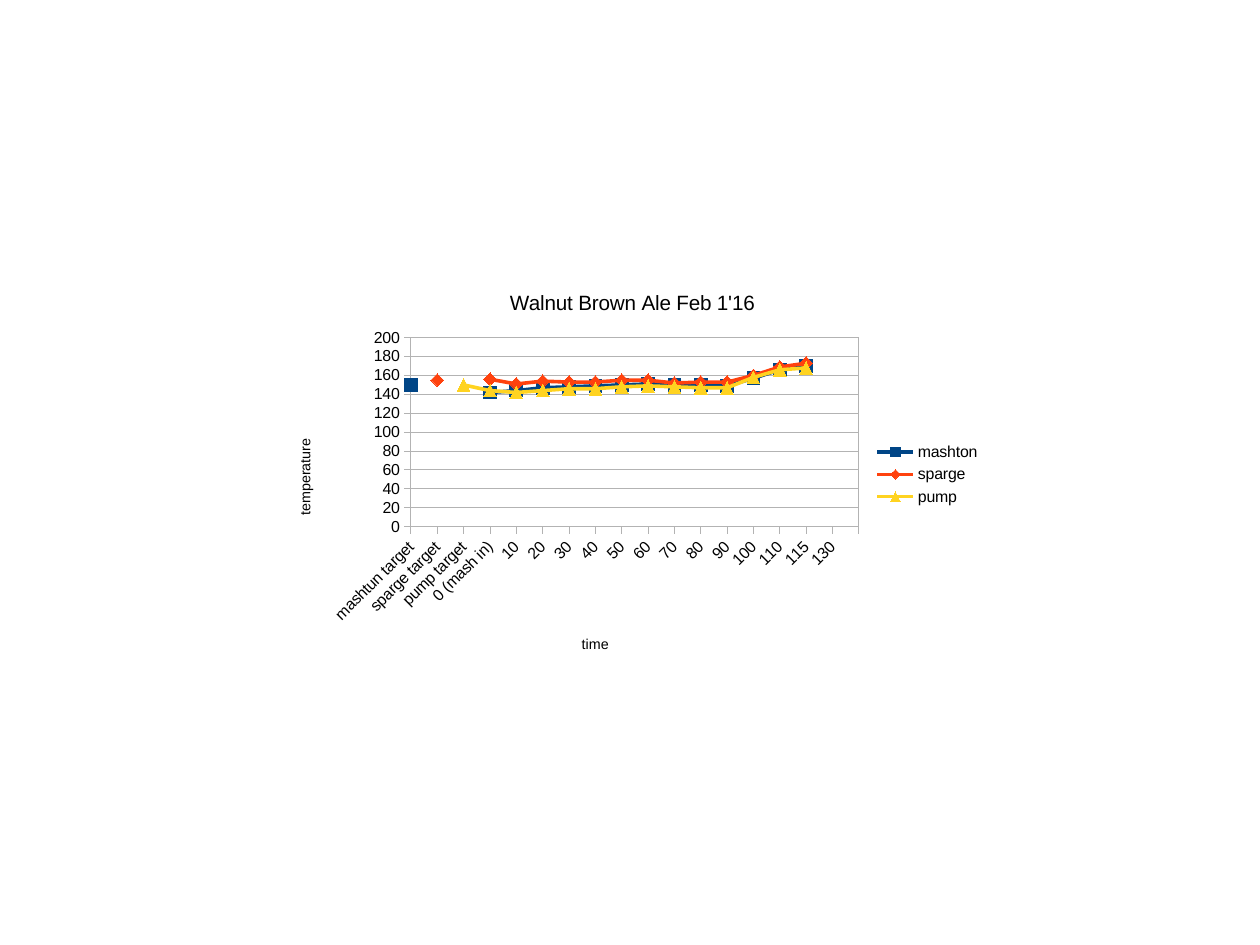
from lxml import etree
from pptx import Presentation
from pptx.chart.data import CategoryChartData
from pptx.dml.color import RGBColor
from pptx.enum.chart import (
    XL_CHART_TYPE, XL_LEGEND_POSITION, XL_MARKER_STYLE as MARKER, XL_TICK_MARK)
from pptx.oxml.ns import qn
from pptx.util import Inches, Pt

CM_PER_INCH = 2.54
FONT = "Arial"
HAIRLINE = 0.01
COLORS = {
    "text": "000000",
    "axis": "B3B3B3",
    "mashton": "004586",
    "sparge": "FF420E",
    "pump": "FFD320",
}
MARKERS = {
    "mashton": MARKER.SQUARE,
    "sparge": MARKER.DIAMOND,
    "pump": MARKER.TRIANGLE,
}
CATEGORIES = ["mashtun target", "sparge target", "pump target", "0 (mash in)",
              *[str(minute) for minute in range(10, 120, 10)], "115", "130", ""]
TEMPERATURES = {
    "mashton": [150, None, None, 142, 144, 147, 148, 149, 150, 151, 150, 150,
                149, 157, 166, 170, None, None],
    "sparge": [None, 155, None, 156, 151, 154, 153, 153, 155, 155, 152, 153,
               153, 160, 169, 173, None, None],
    "pump": [None, None, 150, 144, 142, 144, 146, 146, 148, 149, 148, 147,
             147, 158, 166, 168, None, None],
}


def rgb(name):
    return RGBColor.from_string(COLORS[name])


def style_font(font, size):
    font.name = FONT
    font.size = Pt(size)
    font.bold = False
    font.color.rgb = rgb("text")


def style_line(line, color, width):
    line.color.rgb = rgb(color)
    line.width = Pt(width)


def place(element, index, **percents):
    """Set a manual layout, in percent of the chart, as child number index."""
    for old_layout in element.findall(qn("c:layout")):
        element.remove(old_layout)
    layout = etree.Element(qn("c:layout"))
    manual = etree.SubElement(layout, qn("c:manualLayout"))
    if "w" in percents:
        etree.SubElement(manual, qn("c:layoutTarget"), val="inner")
    for side in ("x", "y"):
        etree.SubElement(manual, qn(f"c:{side}Mode"), val="edge")
    for key, value in percents.items():
        etree.SubElement(manual, qn(f"c:{key}"), val=str(value / 100))
    element.insert(index, layout)


def rotate_text(element, degrees):
    element.find(".//" + qn("a:bodyPr")).set("rot", str(degrees * 60000))


def write_title(title, text, size, x, y):
    paragraph = title.text_frame.paragraphs[0]
    run = paragraph.add_run()
    run.text = text
    style_font(run.font, size)
    place(title._element, 1, x=x, y=y)


def style_axis(axis):
    axis.major_tick_mark = XL_TICK_MARK.OUTSIDE
    axis.minor_tick_mark = XL_TICK_MARK.NONE
    style_line(axis.format.line, "axis", HAIRLINE)
    style_font(axis.tick_labels.font, 10)


def format_axes(chart):
    time_axis, temperature_axis = chart.category_axis, chart.value_axis
    for axis in (time_axis, temperature_axis):
        style_axis(axis)
    time_axis.has_major_gridlines = False
    rotate_text(time_axis._element.find(qn("c:txPr")), -45)
    write_title(time_axis.axis_title, "time", 9, 42.65, 89)

    temperature_axis.minimum_scale = 0
    temperature_axis.maximum_scale = 200
    temperature_axis.major_unit = 20
    temperature_axis.has_major_gridlines = True
    style_line(temperature_axis.major_gridlines.format.line, "axis", HAIRLINE)
    write_title(temperature_axis.axis_title, "temperature", 9, 2.9, 40.5)
    rotate_text(temperature_axis.axis_title._element, -90)

    # Start the lines on the value axis itself
    crossing = temperature_axis._element.find(qn("c:crossBetween"))
    if crossing is None:
        crossing = etree.Element(qn("c:crossBetween"))
        temperature_axis._element.find(qn("c:crosses")).addnext(crossing)
    crossing.set("val", "midCat")


def format_series(series):
    series.smooth = False
    style_line(series.format.line, series.name, 2.27)
    marker = series.marker
    marker.style = MARKERS[series.name]
    marker.size = 8
    marker.format.fill.solid()
    marker.format.fill.fore_color.rgb = rgb(series.name)
    marker.format.line.color.rgb = rgb(series.name)


def format_plot_area(chart):
    plot_area = chart._chartSpace.find(".//" + qn("c:plotArea"))
    place(plot_area, 0, x=19.3, y=16.25, w=62.2, h=46.7)
    properties = etree.SubElement(plot_area, qn("c:spPr"))
    etree.SubElement(properties, qn("a:noFill"))
    frame = etree.SubElement(properties, qn("a:ln"), w="0")
    fill = etree.SubElement(frame, qn("a:solidFill"))
    etree.SubElement(fill, qn("a:srgbClr"), val=COLORS["axis"])


def add_temperature_chart(slide, left, top, width, height):
    data = CategoryChartData()
    data.categories = CATEGORIES
    for name, values in TEMPERATURES.items():
        data.add_series(name, values)
    chart = slide.shapes.add_chart(
        XL_CHART_TYPE.LINE_MARKERS, Inches(left), Inches(top),
        Inches(width), Inches(height), data).chart
    style_font(chart.font, 10)
    chart.has_title = True
    write_title(chart.chart_title, "Walnut Brown Ale Feb 1'16", 13, 32.5, 3.5)
    chart.has_legend = True
    chart.legend.position = XL_LEGEND_POSITION.RIGHT
    chart.legend.include_in_layout = False
    style_font(chart.legend.font, 10)
    plot = chart.plots[0]
    plot.vary_by_categories = False
    for series in plot.series:
        format_series(series)
    format_axes(chart)
    format_plot_area(chart)


def main():
    presentation = Presentation()
    presentation.slide_width = Inches(28 / CM_PER_INCH)
    presentation.slide_height = Inches(21 / CM_PER_INCH)
    slide = presentation.slides.add_slide(presentation.slide_layouts[6])
    add_temperature_chart(slide, 2.38, 2.38, 6.3, 3.54)
    presentation.save("out.pptx")


if __name__ == "__main__":
    main()
